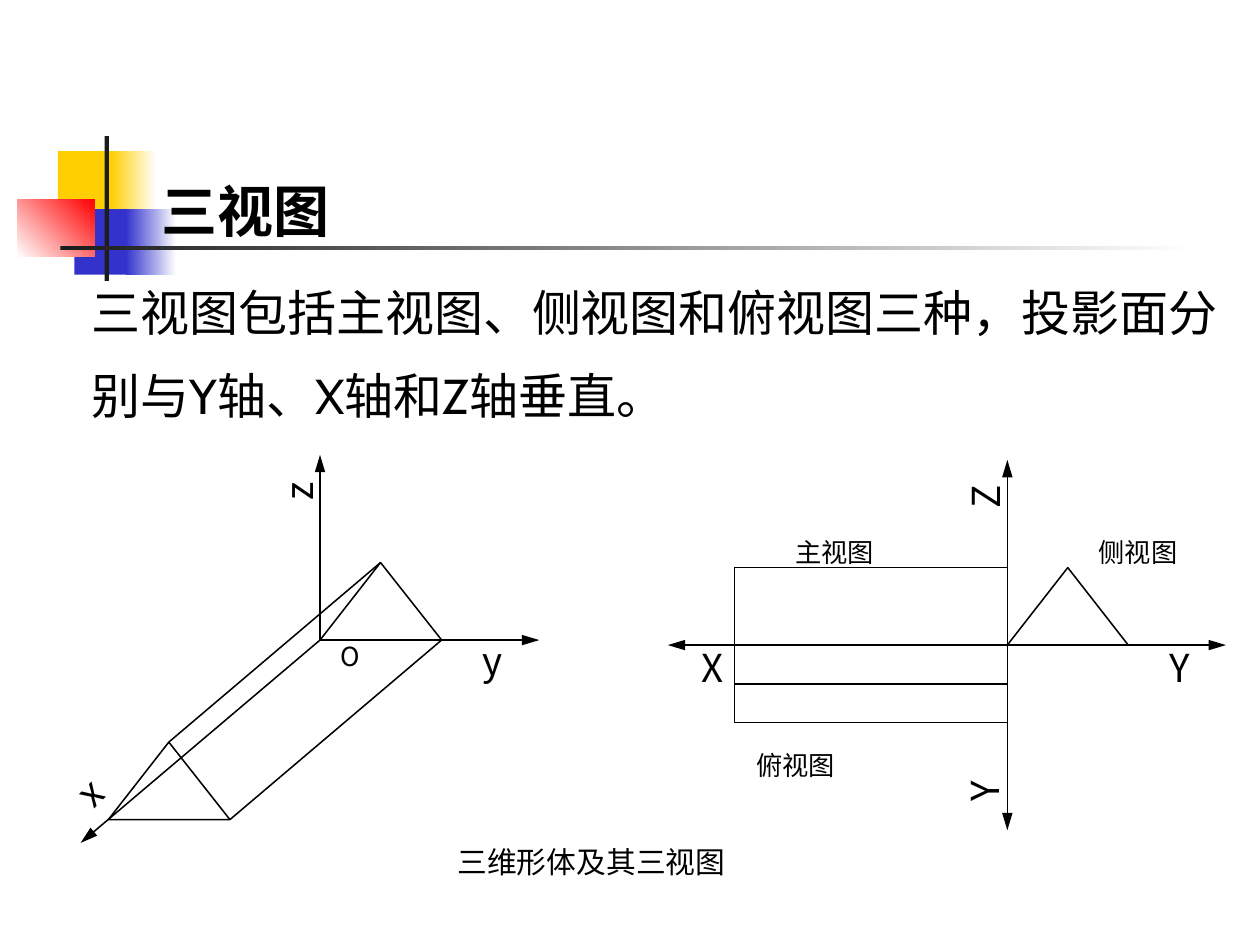
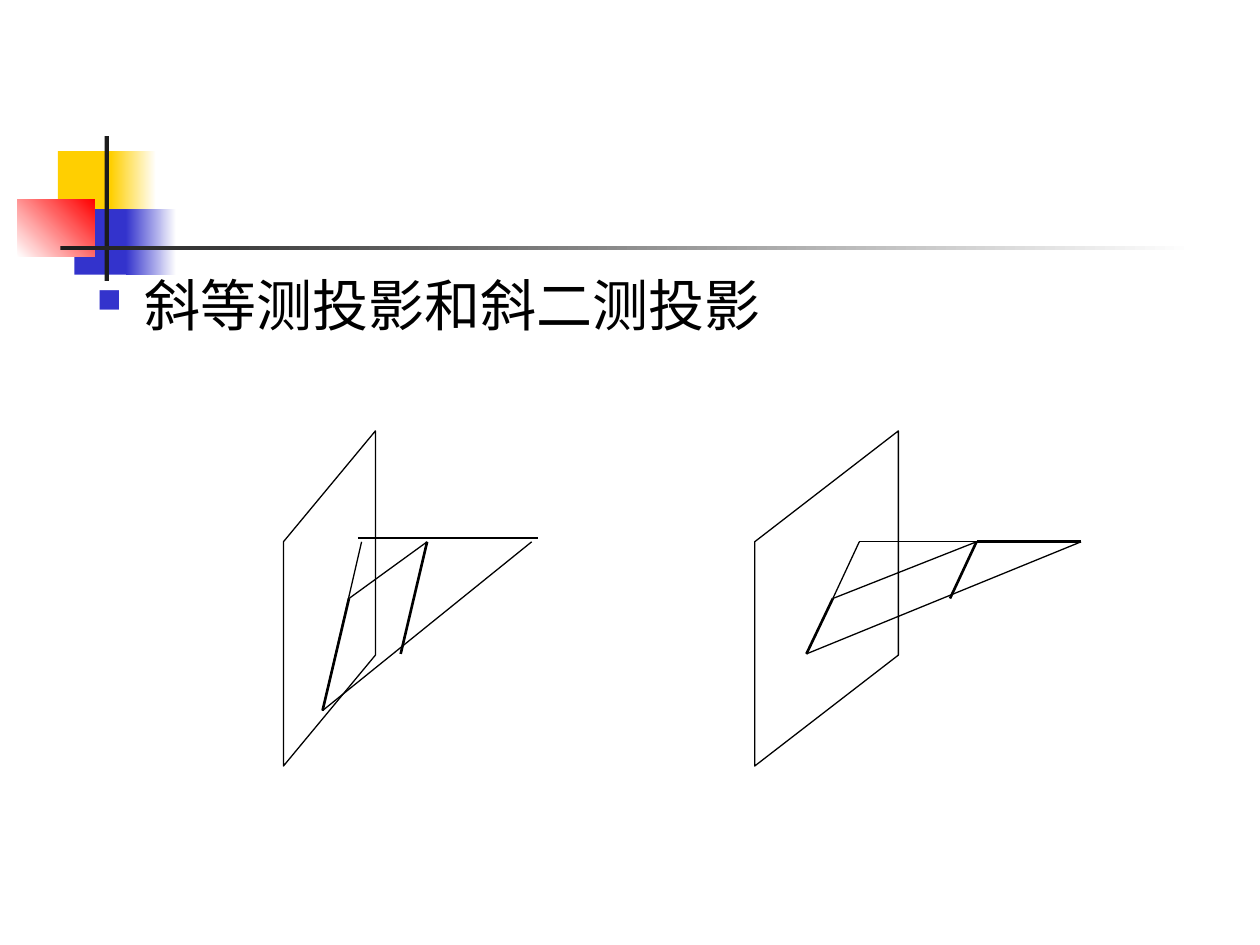
from pptx import Presentation
from pptx.dml.color import RGBColor
from pptx.enum.shapes import MSO_CONNECTOR, MSO_SHAPE
from pptx.enum.text import MSO_ANCHOR, PP_ALIGN
from pptx.oxml.ns import qn
from pptx.util import Emu, Inches, Pt
from lxml import etree

RECT = MSO_SHAPE.RECTANGLE
LINE = MSO_CONNECTOR.STRAIGHT
TOP = MSO_ANCHOR.TOP
LEFT, JUST = PP_ALIGN.LEFT, PP_ALIGN.JUSTIFY

WIDE, HIGH = Inches(10), Inches(7.5)
COL, ROW = WIDE / 100, HIGH / 75

BLACK, WHITE, DARK = "000000", "FFFFFF", "1C1C1C"
GOLD, BLUE, RED = "FFCF01", "3333CC", "FF0000"
SANS, CJK = "Cabin", "Noto Sans CJK SC"
THIN, AXIS, THICK = 0.75, 0.88, 1.5

BAND = [
    ((4.6, 12, 4.8, 5.2), [GOLD], 0),
    ((8.8, 12, 3.6, 5.2), [GOLD, WHITE], 0),
    ((5.9, 16.6, 4.6, 5.2), [BLUE], 0),
    ((10, 16.6, 4, 5.2), [BLUE, WHITE], 0),
    ((1.4, 15.8, 6.1, 4.6), [WHITE, RED], 45),
    ((8.3, 10.8, 0.35, 11.5), [DARK], 0),
    ((4.8, 19.5, 90, 0.35), [DARK, WHITE], 0),
]


def tint(code):
    return RGBColor.from_string(code)


def put(item, values):
    for key, value in values.items():
        setattr(item, key, value)


def spot(box, point):
    return (Emu(round((box[0] + point[0]) * COL)),
            Emu(round((box[1] + point[1]) * ROW)))


def area(box, part):
    return (*spot(box, part), *spot((0, 0), part[2:]))


def move(point, step):
    return point[0] + step[0], point[1] + step[1]


def pen(shape, width):
    shape.line.color.rgb = tint(BLACK)
    shape.line.width = Pt(width)


def rule(slide, box, start, end, width=AXIS, arrow=False):
    wire = slide.shapes.add_connector(LINE, *spot(box, start), *spot(box, end))
    pen(wire, width)
    if arrow:
        etree.SubElement(wire.line._get_or_add_ln(), qn("a:tailEnd"),
                         type="triangle", w="med", len="lg")
    etree.SubElement(wire._element.spPr, qn("a:effectLst"))
    return wire


def hollow(shape, width):
    shape.shadow.inherit = False
    shape.fill.background()
    pen(shape, width)
    return shape


def frame(slide, box, part):
    return hollow(slide.shapes.add_shape(RECT, *area(box, part)), AXIS)


def shape(slide, box, points, width=AXIS, close=True):
    first, *rest = [spot(box, point) for point in points]
    path = slide.shapes.build_freeform(*first)
    path.add_line_segments(rest, close=close)
    return hollow(path.convert_to_shape(), width)


def text(slide, box, part, lines, size, face=CJK, bold=False, inset=(0, 0),
         wrap=False, turn=0, layout=None, bullet=None):
    note = slide.shapes.add_textbox(*area(box, part))
    note.rotation = turn
    side, edge = (Inches(gap) for gap in inset)
    put(note.text_frame, {
        "word_wrap": wrap, "vertical_anchor": TOP,
        "margin_left": side, "margin_right": side,
        "margin_top": edge, "margin_bottom": edge})
    note.text_frame.text = "\n".join(lines)
    for index, para in enumerate(note.text_frame.paragraphs):
        put(para, {"alignment": LEFT, **(layout or {})})
        if index == 0:
            para.space_before = Pt(0)
        if bullet:
            mark(para, bullet)
        for run in para.runs:
            put(run.font, {"size": Pt(size), "bold": bold, "name": face})
            run.font.color.rgb = tint(BLACK)
            etree.SubElement(run._r.get_or_add_rPr(), qn("a:ea"), typeface=CJK)
    return note


def mark(para, sign):
    props = para._p.get_or_add_pPr()
    hang = Inches(0.38)
    props.set("marL", str(hang))
    props.set("indent", str(-hang))
    color = etree.SubElement(props, qn("a:buClr"))
    etree.SubElement(color, qn("a:srgbClr"), val=BLUE)
    etree.SubElement(props, qn("a:buSzPct"), val="60000")
    etree.SubElement(props, qn("a:buChar"), char=sign)


def band(slide):
    for part, colors, angle in BAND:
        block = slide.shapes.add_shape(RECT, *area((0, 0), part))
        block.shadow.inherit = False
        block.line.fill.background()
        if len(colors) == 1:
            block.fill.solid()
            block.fill.fore_color.rgb = tint(colors[0])
            continue
        block.fill.gradient()
        block.fill.gradient_angle = angle
        for stop, code in zip(block.fill.gradient_stops, colors):
            stop.color.rgb = tint(code)


def axes(slide, box, hub, tips, names):
    for tip in tips:
        rule(slide, box, hub, tip, arrow=True)
    for name, x, y, width, turn in names:
        text(slide, box, (x, y, width, 3.7), [name], 22, turn=turn)


def solid(slide, box):
    hub = (19, 14.7)
    axes(slide, box, hub, [(0, box[3]), (hub[0], 0), (box[2], hub[1])], [
        ("x", 0.4, 25.5, 1.6, 135),
        ("z", 16.6, 1.1, 1.4, 270),
        ("y", 31.9, 14.5, 1.6, 0)])
    near = [hub, move(hub, (4.8, -6.15)), move(hub, (9.65, 0))]
    far = [move(point, (-16.8, 14.25)) for point in near]
    shape(slide, box, near, close=False)
    shape(slide, box, far)
    for start, end in zip(near[1:], far[1:]):
        rule(slide, box, start, end)
    text(slide, box, (20.6, 14.7, 1.6, 2.5), ["O"], 15)


def views(slide, box):
    hub = (26.95, 14.7)
    tall, wide = 6.15, 21.65
    axes(slide, box, hub,
         [(hub[0], 0), (box[2], hub[1]), (0, hub[1]), (hub[0], box[3])], [
             ("Z", 24.3, 1.1, 1.8, 270),
             ("Y", 39.8, 14.6, 1.7, 0),
             ("X", 2.7, 14.6, 1.8, 0),
             ("Y", 24.3, 24.4, 1.7, 270)])
    shape(slide, box, [hub, move(hub, (4.8, -tall)), move(hub, (9.6, 0))])
    left = hub[0] - wide
    frame(slide, box, (left, hub[1] - tall, wide, tall))
    plan = frame(slide, box, (left, hub[1], wide, tall))
    half = hub[1] + tall / 2
    ridge = rule(slide, box, (left, half), (hub[0], half))
    ridge.begin_connect(plan, 1)
    ridge.end_connect(plan, 3)
    for name, x, y in [("主视图", 10.1, 6.1), ("俯视图", 7, 23),
                       ("侧视图", 34.2, 6.1)]:
        text(slide, box, (x, y, 6.5, 2.5), [name], 15)


def plane(slide, box, thin, thick):
    wide, high = box[2:]
    rise = 8.8
    shape(slide, box, [(0, rise), (wide, 0), (wide, high - rise), (0, high)],
          THIN)
    for width, pairs in ((THIN, thin), (THICK, thick)):
        for start, end in pairs:
            rule(slide, box, start, end, width)


def three(slide):
    band(slide)
    page = (0, 0)
    text(slide, page, (6.3, 21, 93.3, 13.4),
         ["三视图包括主视图、侧视图和俯视图三种，投影面分",
          "别与Y轴、X轴和Z轴垂直。"],
         28, SANS, inset=(0.1, 0.05), wrap=True,
         layout={"alignment": JUST, "line_spacing": 1.2, "space_before": Pt(7)})
    solid(slide, (6.4, 36.1, 36.4, 30.8))
    views(slide, (53, 36.5, 44.3, 29.4))
    text(slide, page, (36.3, 67, 24, 2.8), ["三维形体及其三视图"], 17,
         wrap=True)
    text(slide, page, (11.8, 13.5, 20, 6.4), ["三视图"], 32, SANS, True,
         (0.1, 0.05), wrap=True)


def skew(slide):
    band(slide)
    text(slide, (0, 0), (6.7, 21, 85, 42.5), ["斜等测投影和斜二测投影"], 32,
         inset=(0.1, 0.05), wrap=True, bullet="■")
    foot, mid, peak = (3.1, 22.2), (5.2, 13.3), (11.4, 8.8)
    plane(slide, (22.5, 34.2, 7.3, 26.6),
          [(peak, mid), (foot, (19.7, 8.8)), ((5.9, 8.5), (19.4, 8.5)),
           ((6.2, 8.8), foot)],
          [((11.9, 8.5), (20.2, 8.5)), (peak, (9.3, 17.7)), (mid, foot)])
    foot, mid, peak = (4.1, 17.7), (6.2, 13.3), (17.6, 8.8)
    root, end = (8.3, 8.8), (25.9, 8.8)
    plane(slide, (59.9, 34.2, 11.4, 26.6),
          [(root, peak), (mid, peak), (foot, end), (mid, root)],
          [(peak, end), (peak, (15.5, 13.3)), (mid, foot)])


def main():
    deck = Presentation()
    put(deck, {"slide_width": WIDE, "slide_height": HIGH})
    for build in (three, skew):
        build(deck.slides.add_slide(deck.slide_layouts[6]))
    deck.save("out.pptx")


if __name__ == "__main__":
    main()
